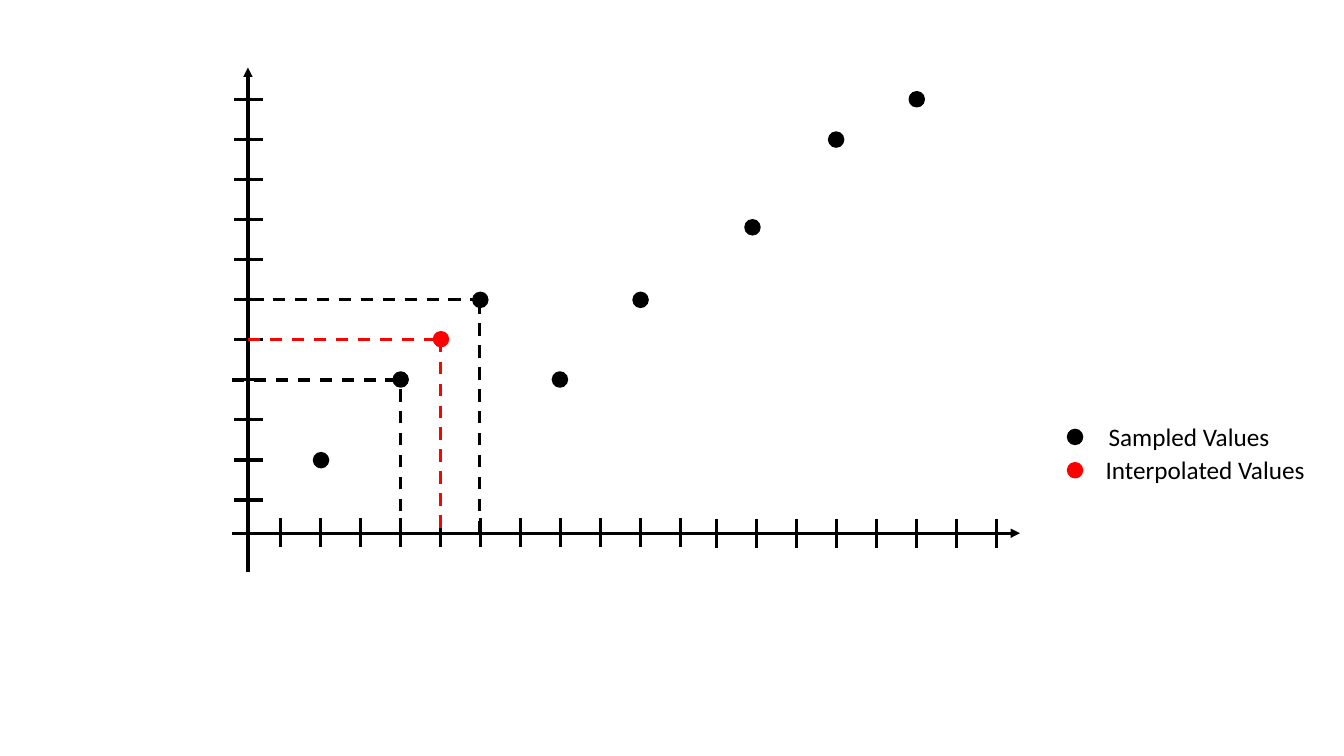
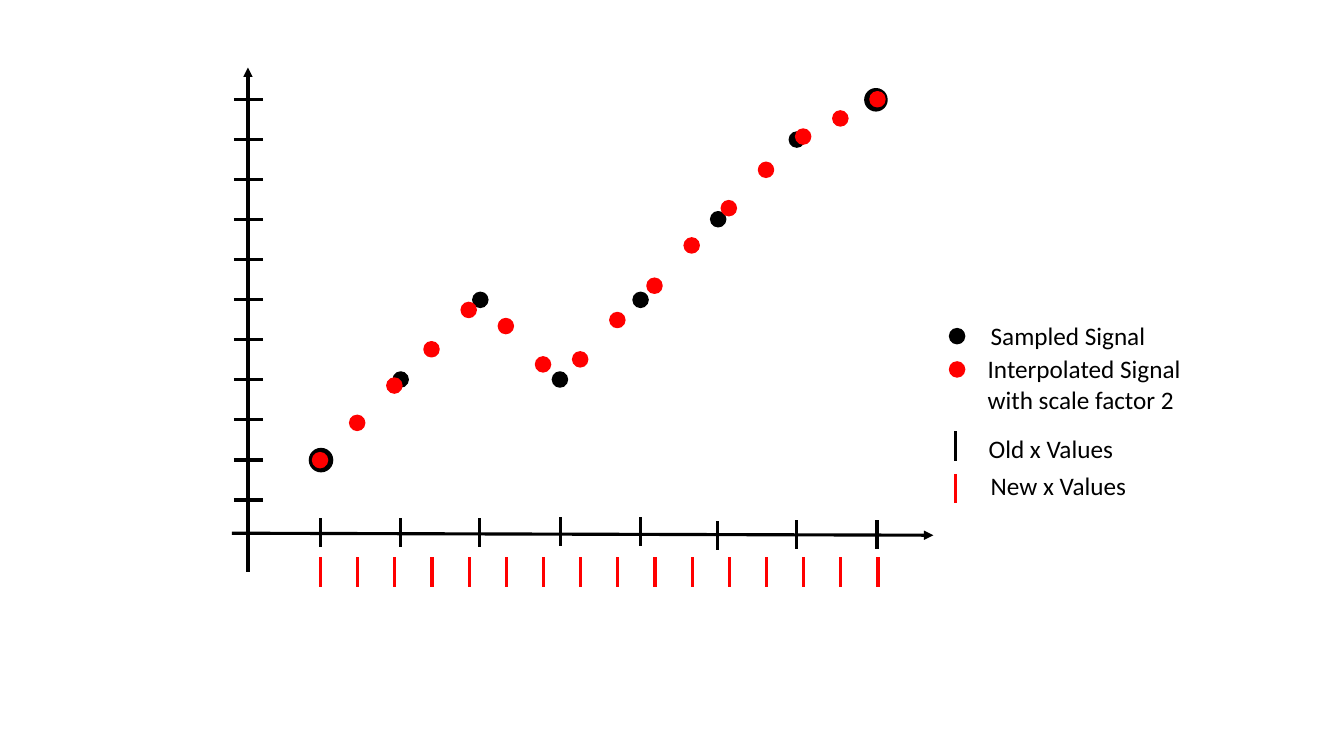
from collections import namedtuple

from lxml import etree
from pptx import Presentation
from pptx.dml.color import RGBColor
from pptx.enum.dml import MSO_LINE
from pptx.enum.shapes import MSO_CONNECTOR, MSO_SHAPE
from pptx.enum.text import MSO_AUTO_SIZE
from pptx.oxml.ns import qn
from pptx.util import Emu, Pt

EMU_PER_PX = 9144  # 100 px to the inch
COLORS = {"sampled": "000000", "interpolated": "FF0000", "text": "000000"}
FONT = "Calibri"
DOT_SIZE = 15
TICK_LENGTH = 29
GRID_STEP = 39.7

Box = namedtuple("Box", "left top width height")
Entry = namedtuple("Entry", "marker color mark_left mark_top text text_box")


def px(length):
    return Emu(round(length * EMU_PER_PX))


def color_of(name):
    return RGBColor.from_string(COLORS[name])


def add_line(slide, box, start, end, color="sampled", dashed=False, arrow=False):
    """Draw a line between two points given relative to the box."""
    connector = slide.shapes.add_connector(
        MSO_CONNECTOR.STRAIGHT,
        px(box.left + start[0]), px(box.top + start[1]),
        px(box.left + end[0]), px(box.top + end[1]))
    connector.line.color.rgb = color_of(color)
    connector.line.width = Pt(2.25)
    if dashed:
        connector.line.dash_style = MSO_LINE.DASH
    properties = connector.element.spPr
    if arrow:
        etree.SubElement(properties.find(qn("a:ln")), qn("a:tailEnd"), type="triangle")
    etree.SubElement(properties, qn("a:effectLst"))


def add_dot(slide, box, left, top, size=DOT_SIZE, color="sampled"):
    shape = slide.shapes.add_shape(
        MSO_SHAPE.FLOWCHART_CONNECTOR,
        px(box.left + left), px(box.top + top), px(size), px(size))
    shape.shadow.inherit = False
    shape.fill.solid()
    shape.fill.fore_color.rgb = color_of(color)
    shape.line.color.rgb = color_of(color)
    shape.line.width = Pt(1)


def add_text(slide, box, text, size=18, color="text", font=FONT):
    shape = slide.shapes.add_textbox(*(px(length) for length in box))
    frame = shape.text_frame
    frame.word_wrap = True
    frame.auto_size = MSO_AUTO_SIZE.SHAPE_TO_FIT_TEXT
    run = frame.paragraphs[0].add_run()
    run.text = text
    run.font.size = Pt(size)
    run.font.name = font
    run.font.color.rgb = color_of(color)


def add_vertical_tick(slide, box, x, top, color="sampled"):
    add_line(slide, box, (x, top), (x, top + TICK_LENGTH), color)


def add_axes(slide, box, x_axis_end, x_ticks):
    """Draw both axes; x_ticks holds the x and top of each tick."""
    add_line(slide, box, (0, 462), x_axis_end, arrow=True)
    add_line(slide, box, (16, box.height), (16, 0), arrow=True)
    for index in range(11):
        y = 32 + GRID_STEP * index
        add_line(slide, box, (2, y), (2 + TICK_LENGTH, y))
    for x, top in x_ticks:
        add_vertical_tick(slide, box, x, top)


def add_legend(slide, box, entries):
    for entry in entries:
        if entry.marker == "dot":
            add_dot(slide, box, entry.mark_left, entry.mark_top, color=entry.color)
        else:
            add_vertical_tick(slide, box, entry.mark_left, entry.mark_top, entry.color)
        left, top, width, height = entry.text_box
        add_text(slide, Box(box.left + left, box.top + top, width, height), entry.text)


def add_single_value_plot(slide, box):
    """Plot one interpolated value between two samples."""
    ticks = [(48 + GRID_STEP * index, 447) for index in range(11)]
    ticks += [(481 + 39.6 * index, 448) for index in range(8)]
    add_axes(slide, box, (box.width, 462), ticks)

    # Sampled and interpolated values
    for left, top in [(81, 382), (160, 302), (239, 223), (318, 302),
                      (398, 223), (509, 151), (592, 64), (672, 24)]:
        add_dot(slide, box, left, top)
    add_dot(slide, box, 200, 262, color="interpolated")

    # Dashed guides to both axes
    for start, end, color in [
            ((19, 230), (254, 230), "sampled"),
            ((0, 310), (175, 310), "sampled"),
            ((16, 270), (200, 270), "interpolated"),
            ((207, 270), (207, 462), "interpolated"),
            ((167, 462), (167, 310), "sampled"),
            ((246, 462), (246, 230), "sampled")]:
        add_line(slide, box, start, end, color, dashed=True)


def add_resampled_plot(slide, box):
    """Plot the signal with twice as many, evenly spaced x values."""
    add_axes(slide, box, (box.width, 464),
             [(88, 447), (167, 447), (246, 447), (326, 446),
              (405, 446), (482, 450), (560, 449), (640, 449)])

    # Sampled signal, with larger end points
    for left, top, size in [(77, 378, 23), (160, 302, DOT_SIZE), (239, 223, DOT_SIZE),
                            (318, 302, DOT_SIZE), (398, 223, DOT_SIZE),
                            (475, 143, DOT_SIZE), (553, 64, DOT_SIZE), (628, 21, 22)]:
        add_dot(slide, box, left, top, size)

    # Interpolated signal and its new x values
    tops = [382, 345, 308, 272, 233, 249, 287, 282,
            243, 209, 169, 132, 94, 61, 43, 24]
    for index, top in enumerate(tops):
        offset = 36.87 * index
        add_vertical_tick(slide, box, 88 + offset, 486, "interpolated")
        add_dot(slide, box, 80 + offset, top, color="interpolated")


def main():
    presentation = Presentation()
    presentation.slide_width = Emu(12192000)
    presentation.slide_height = px(750)
    blank_layout = presentation.slide_layouts[6]

    # One interpolated value
    slide = presentation.slides.add_slide(blank_layout)
    add_single_value_plot(slide, Box(230, 67, 782, 500))
    add_legend(slide, Box(1059, 413, 256, 73), [
        Entry("dot", "sampled", 0, 13, "Sampled Values", (31, 0, 195, 40)),
        Entry("dot", "interpolated", 0, 46, "Interpolated Values", (28, 33, 228, 40)),
    ])

    # Whole signal with scale factor 2
    slide = presentation.slides.add_slide(blank_layout)
    add_resampled_plot(slide, Box(230, 67, 696, 500))
    add_legend(slide, Box(942, 313, 243, 189), [
        Entry("dot", "sampled", 0, 13, "Sampled Signal", (31, 0, 195, 40)),
        Entry("dot", "interpolated", 0, 46,
              "Interpolated Signal with scale factor 2", (28, 33, 215, 71)),
        Entry("tick", "sampled", 6, 115, "Old x Values", (29, 112, 195, 40)),
        Entry("tick", "interpolated", 6, 157, "New x Values", (31, 149, 195, 40)),
    ])

    presentation.save("out.pptx")


if __name__ == "__main__":
    main()
